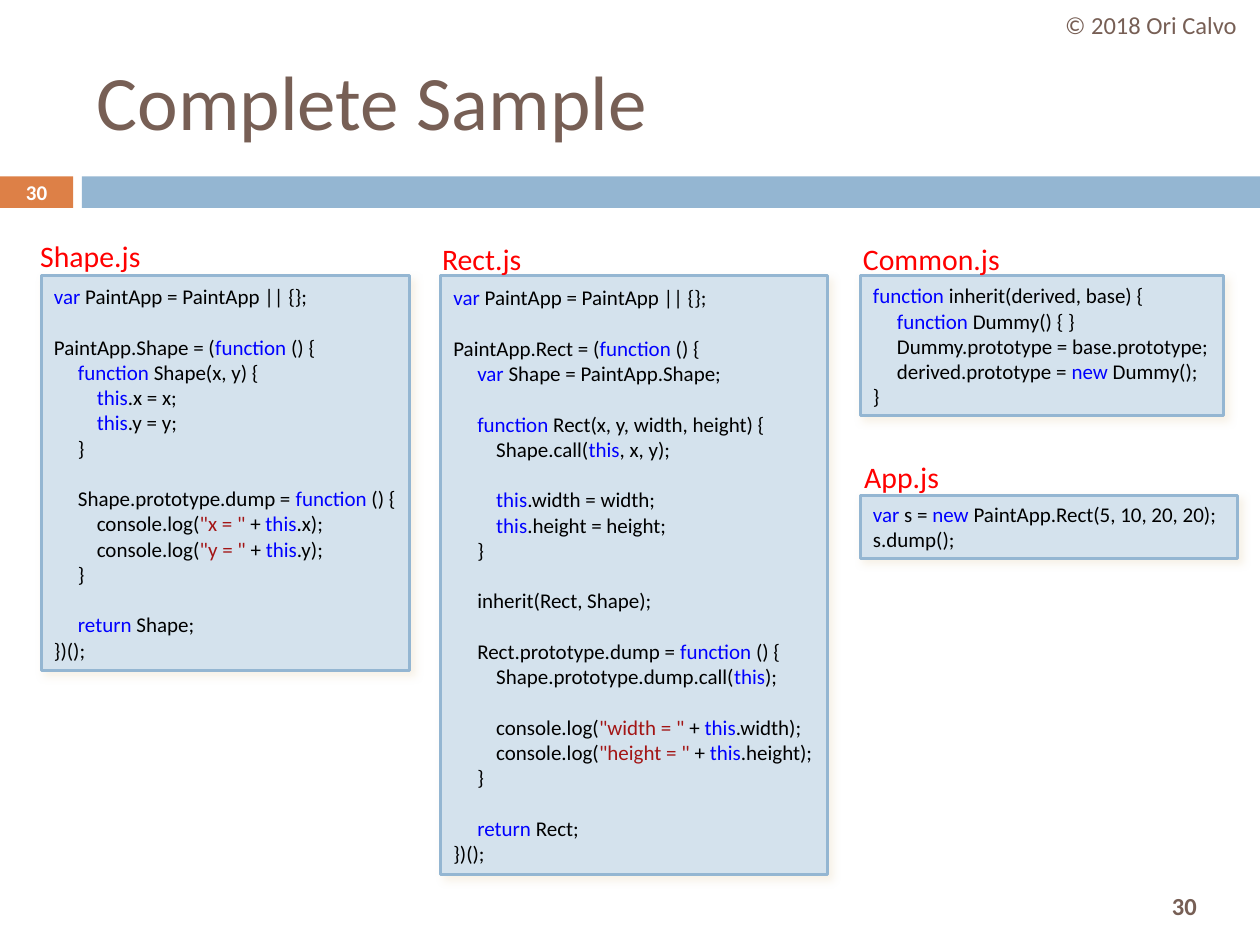
from lxml import etree
from pptx import Presentation
from pptx import util as u
from pptx.dml.color import RGBColor
from pptx.enum import shapes, text
from pptx.oxml import parse_xml
from pptx.oxml.ns import nsdecls, qn

BROWN = RGBColor(0x77, 0x5F, 0x55)
ORANGE = RGBColor(0xDD, 0x80, 0x47)
BLUE = RGBColor(0x94, 0xB6, 0xD2)
PALE_BLUE = RGBColor(0xD4, 0xE2, 0xED)
WHITE = RGBColor(0xFF, 0xFF, 0xFF)
BLACK = RGBColor(0x00, 0x00, 0x00)
RED = RGBColor(0xFF, 0x00, 0x00)
KEYWORD = RGBColor(0x00, 0x00, 0xFF)
STRING = RGBColor(0xA3, 0x15, 0x15)

FONT = "Calibri"
LINE_HEIGHT = u.Pt(14.5)
INDENTS = {0: 0, 4: u.Inches(0.19), 8: u.Inches(0.34)}
SHADOW = f"""<a:effectLst {nsdecls("a")}>
  <a:outerShdw blurRad="63500" dist="36830" dir="2700000" algn="tl" rotWithShape="0">
    <a:srgbClr val="EBDDC3"><a:alpha val="40000"/></a:srgbClr>
  </a:outerShdw>
</a:effectLst>"""

# Backticks enclose keywords and string literals.
SHAPE_CODE = """\
`var` PaintApp = PaintApp || {};

PaintApp.Shape = (`function` () {
    `function` Shape(x, y) {
        `this`.x = x;
        `this`.y = y;
    }

    Shape.prototype.dump = `function` () {
        console.log(`"x = "` + `this`.x);
        console.log(`"y = "` + `this`.y);
    }

    `return` Shape;
})();"""

RECT_CODE = """\
`var` PaintApp = PaintApp || {};

PaintApp.Rect = (`function` () {
    `var` Shape = PaintApp.Shape;

    `function` Rect(x, y, width, height) {
        Shape.call(`this`, x, y);

        `this`.width = width;
        `this`.height = height;
    }

    inherit(Rect, Shape);

    Rect.prototype.dump = `function` () {
        Shape.prototype.dump.call(`this`);

        console.log(`"width = "` + `this`.width);
        console.log(`"height = "` + `this`.height);
    }

    `return` Rect;
})();"""

COMMON_CODE = """\
`function` inherit(derived, base) {
    `function` Dummy() { }
    Dummy.prototype = base.prototype;
    derived.prototype = `new` Dummy();
}"""

APP_CODE = """\
`var` s = `new` PaintApp.Rect(5, 10, 20, 20);
s.dump();"""


def add_rectangle(place, fill):
    box = page.shapes.add_shape(shapes.MSO_SHAPE.RECTANGLE, *map(u.Inches, place))
    box.shadow.inherit = False
    box.fill.solid()
    box.fill.fore_color.rgb = fill
    box.line.fill.background()
    return box


def add_label(place, words, size, color, bold=False, centered=True):
    """Add one line of text, centred both ways or set from the top left."""
    box = page.shapes.add_textbox(*map(u.Inches, place))
    frame = box.text_frame
    frame.word_wrap = True
    frame.vertical_anchor = text.MSO_ANCHOR.MIDDLE if centered else text.MSO_ANCHOR.TOP
    para = frame.paragraphs[0]
    para.text = words
    para.alignment = text.PP_ALIGN.CENTER if centered else text.PP_ALIGN.LEFT
    para.font.name, para.font.size, para.font.bold = FONT, u.Pt(size), bold
    para.font.color.rgb = color
    return box


deck = Presentation()
deck.slide_width, deck.slide_height = u.Inches(10), u.Inches(7.5)
page = deck.slides.add_slide(deck.slide_layouts[6])

add_rectangle((0, 1.4, 0.58, 0.25), ORANGE)
add_rectangle((0.65, 1.4, 9.35, 0.25), BLUE)
add_label((8.94, 6.98, 0.92, 0.42), "30", 14, BROWN, bold=True)
title = add_label((0.67, 0.25, 8.92, 1.08), "Complete Sample", 44, BROWN)
title.text_frame.paragraphs[0].alignment = text.PP_ALIGN.LEFT
add_label((8.27, 0, 1.73, 0.4), "© 2018 Ori Calvo", 14, BROWN)
add_label((0, 1.39, 0.58, 0.27), "30", 12, WHITE, bold=True)

# File name, its label's left and top, its code box, its code
listings = [
    ("Shape.js", (0.22, 1.84), (0.33, 2.19, 2.92, 3.13), SHAPE_CODE),
    ("Rect.js", (3.41, 1.86), (3.5, 2.19, 3.07, 4.75), RECT_CODE),
    ("Common.js", (6.75, 1.86), (6.83, 2.19, 2.88, 1.11), COMMON_CODE),
    ("App.js", (6.76, 3.59), (6.83, 3.93, 2.99, 0.5), APP_CODE),
]
for file_name, corner, place, code in listings:
    box = add_rectangle(place, PALE_BLUE)
    box.line.color.rgb = BLUE
    box.line.width = u.Pt(1.75)
    properties = box._element.spPr
    properties.replace(properties.find(qn("a:effectLst")), parse_xml(SHADOW))

    frame = box.text_frame
    frame.word_wrap = False
    frame.auto_size = text.MSO_AUTO_SIZE.SHAPE_TO_FIT_TEXT
    frame.vertical_anchor = text.MSO_ANCHOR.MIDDLE
    para = frame.paragraphs[0]
    after_gap = False
    for number, line in enumerate(code.splitlines()):
        if not line:
            after_gap = True
            continue
        if number:
            para = frame.add_paragraph()
        para.alignment = text.PP_ALIGN.LEFT
        para.font.name, para.font.size = FONT, u.Pt(12)
        if after_gap:
            para.space_before = LINE_HEIGHT
            after_gap = False
        statement = line.lstrip()
        indent = INDENTS[len(line) - len(statement)]
        para._p.get_or_add_pPr().set("marL", str(indent))
        for position, part in enumerate(statement.split("`")):
            if not part:
                continue
            span = para.add_run()
            span.text = part
            if position % 2 == 0:
                span.font.color.rgb = BLACK
            else:
                span.font.color.rgb = STRING if part.startswith('"') else KEYWORD

    add_label((*corner, 1.79, 0.47), file_name, 17, RED, centered=False)

deck.save("out.pptx")
